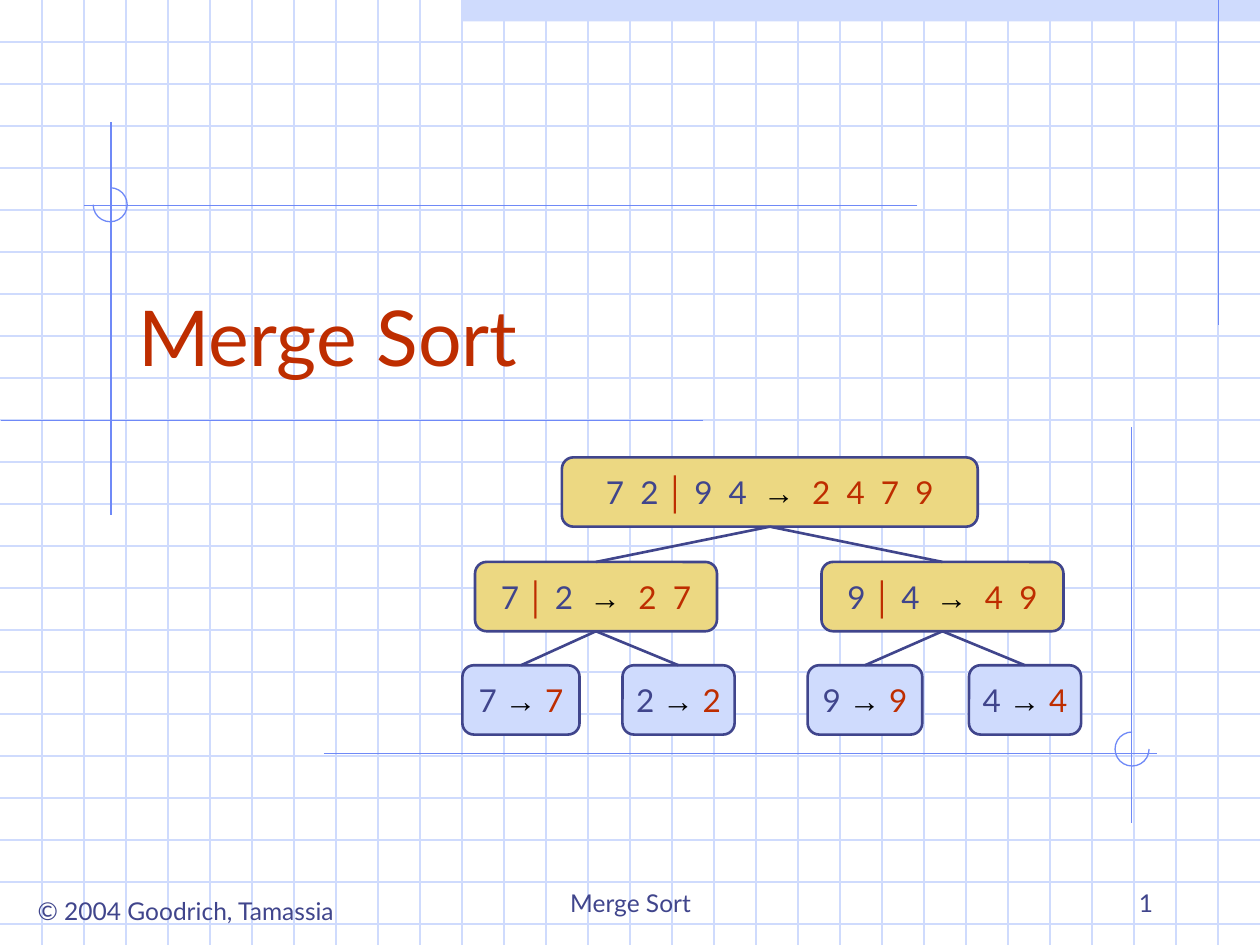
"""Build the Merge Sort title slide with its recursion tree."""
import lxml.etree
import pptx
import pptx.dml.color
import pptx.enum.shapes
import pptx.enum.text
import pptx.oxml.ns
import pptx.util
from pptx.util import Inches

COLORS = {"grid": "CFDBFD", "rule": "6F89F7", "ink": "40458C", "result": "BE2D00",
          "merge": "ECD882", "arrow": "000000"}
RUN_STYLES = {
    "input": ("Lato", "ink", False),
    "bar": ("Arial", "result", True),
    "arrow": ("Arial", "arrow", True),
    "result": ("Lato", "result", False),
}
ALIGN = pptx.enum.text.PP_ALIGN
ANCHOR = pptx.enum.text.MSO_ANCHOR
SHAPE = pptx.enum.shapes.MSO_SHAPE
GRID_STEP = 1 / 3
RULES = [(9.67, 0, 9.67, 2.58), (0.88, 0.97, 0.88, 4.09), (5.58, 3.34, 0.01, 3.34),
         (7.28, 1.63, 0.67, 1.63), (2.57, 5.98, 9.18, 5.98), (8.98, 3.39, 8.98, 6.53)]
ARCS = [(0.74, 1.49, 270, 180), (8.85, 5.81, 0, 270)]
NODE_HEIGHT = 0.55
TREE = (4.46, 3.63, 3.3, "7  2 ", " 9  4  ", "2  4  7  9", [
    (3.77, 4.46, 1.92, "7 ", " 2  ", "2  7", [
        (3.67, 5.28, 0.93, "7 ", "", "7", []),
        (4.94, 5.28, 0.89, "2 ", "", "2", [])]),
    (6.52, 4.46, 1.92, "9 ", " 4  ", "4  9", [
        (6.41, 5.28, 0.91, "9 ", "", "9", []),
        (7.69, 5.28, 0.89, "4 ", "", "4", [])]),
])


def rgb(name):
    """Return the named colour."""
    return pptx.dml.color.RGBColor.from_string(COLORS[name])


def apply_format(target, values):
    """Set each attribute of the target from a dict."""
    for name, value in values.items():
        setattr(target, name, value)


def add_run(paragraph, text, size, style="input"):
    """Add a run in one of the named styles."""
    family, color, bold = RUN_STYLES[style]
    run = paragraph.add_run()
    run.text = text
    apply_format(run.font, {"name": family, "size": pptx.util.Pt(size), "bold": bold})
    run.font.color.rgb = rgb(color)


def format_line(shape, color, width):
    """Give a shape or connector its outline."""
    shape.line.color.rgb = rgb(color)
    shape.line.width = pptx.util.Pt(width)


def add_line(slide, ends, color, width=0.75):
    """Add a straight line without a shadow."""
    line = slide.shapes.add_connector(
        pptx.enum.shapes.MSO_CONNECTOR.STRAIGHT, *map(Inches, ends))
    format_line(line, color, width)
    properties = line._element.spPr
    lxml.etree.SubElement(properties, pptx.oxml.ns.qn("a:effectLst"))
    return line


def add_shape(slide, kind, box, fill=None):
    """Add a preset shape with a flat fill or none."""
    shape = slide.shapes.add_shape(kind, *map(Inches, box))
    shape.shadow.inherit = False
    if fill:
        shape.fill.solid()
        shape.fill.fore_color.rgb = rgb(fill)
    else:
        shape.fill.background()
    return shape


def add_background(slide):
    """Draw the top band, the grid, the rules and the corner arcs."""
    band = add_shape(slide, SHAPE.RECTANGLE, (3.67, 0, 6.33, 0.17), "grid")
    band.line.fill.background()
    for row in range(1, 23):
        add_line(slide, (0, row * GRID_STEP, 10, row * GRID_STEP), "grid")
    for column in range(1, 30):
        add_line(slide, (column * GRID_STEP, 0, column * GRID_STEP, 7.5), "grid")
    for ends in RULES:
        add_line(slide, ends, "rule")
    for left, top, start, end in ARCS:
        arc = add_shape(slide, SHAPE.ARC, (left, top, 0.27, 0.27))
        arc.adjustments[0] = start * 0.6
        arc.adjustments[1] = end * 0.6
        format_line(arc, "rule", 0.75)


def set_title(slide, text):
    """Place and format the title in front of the grid."""
    title = slide.shapes.title
    slide.shapes._spTree.append(title._element)
    apply_format(title, {"left": Inches(1), "top": Inches(1.83),
                         "width": Inches(8.5), "height": Inches(1.25)})
    apply_format(title.text_frame, {
        "vertical_anchor": ANCHOR.BOTTOM, "word_wrap": True,
        "auto_size": pptx.enum.text.MSO_AUTO_SIZE.NONE})
    paragraph = title.text_frame.paragraphs[0]
    paragraph.alignment = ALIGN.LEFT
    add_run(paragraph, text, 44, "result")


def add_footer(slide, box, text, alignment, anchor=ANCHOR.BOTTOM, wrap=True):
    """Add one footer text."""
    frame = slide.shapes.add_textbox(*map(Inches, box)).text_frame
    apply_format(frame, {"word_wrap": wrap, "vertical_anchor": anchor})
    paragraph = frame.paragraphs[0]
    paragraph.alignment = alignment
    add_run(paragraph, text, 14)


def add_node(slide, node):
    """Add a tree node, its children and the lines between them."""
    left, top, width, first, second, result, children = node
    shape = add_shape(slide, SHAPE.ROUNDED_RECTANGLE, (left, top, width, NODE_HEIGHT),
                      "merge" if children else "grid")
    format_line(shape, "ink", 1.5)
    apply_format(shape.text_frame, {"word_wrap": False, "vertical_anchor": ANCHOR.MIDDLE})
    paragraph = shape.text_frame.paragraphs[0]
    paragraph.alignment = ALIGN.CENTER
    add_run(paragraph, first, 18)
    if children:
        add_run(paragraph, "│", 18, "bar")
        add_run(paragraph, second, 18)
    add_run(paragraph, "→  " if children else "→ ", 18, "arrow")
    add_run(paragraph, result, 18, "result")
    for child in children:
        child_shape = add_node(slide, child)
        branch = add_line(slide, (0, 0, 1, 1), "ink", 1.5)
        branch.begin_connect(child_shape, 0)
        branch.end_connect(shape, 2)
    return shape


def main():
    """Build and save the slide."""
    presentation = pptx.Presentation()
    presentation.slide_width = Inches(10)
    presentation.slide_height = Inches(7.5)
    slide = presentation.slides.add_slide(presentation.slide_layouts[5])
    add_background(slide)
    add_footer(slide, (0.12, 7.06, 2.71, 0.34), "© 2004 Goodrich, Tamassia",
               ALIGN.CENTER, ANCHOR.TOP, False)
    add_footer(slide, (3.42, 6.83, 3.17, 0.5), "Merge Sort", ALIGN.CENTER)
    add_footer(slide, (7.17, 6.83, 2.08, 0.5), "1", ALIGN.RIGHT)
    set_title(slide, "Merge Sort")
    add_node(slide, TREE)
    presentation.save("out.pptx")


if __name__ == "__main__":
    main()
